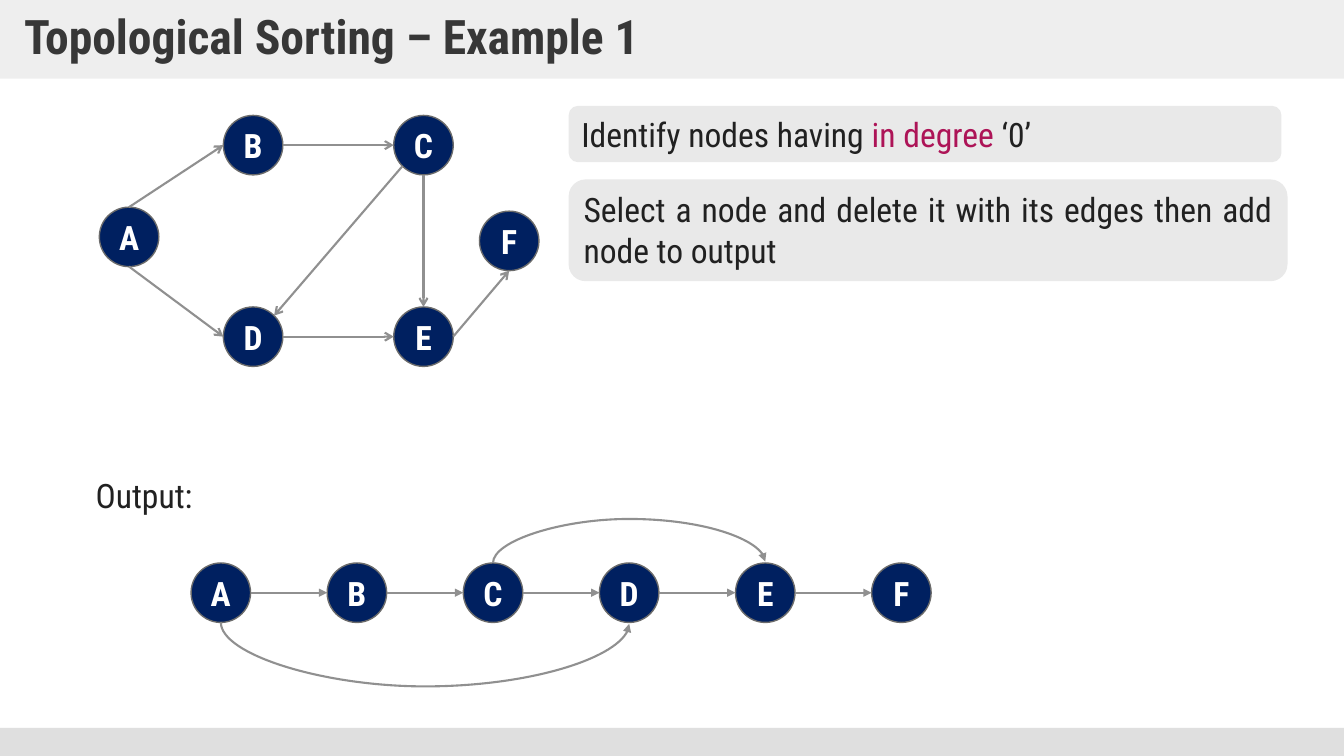
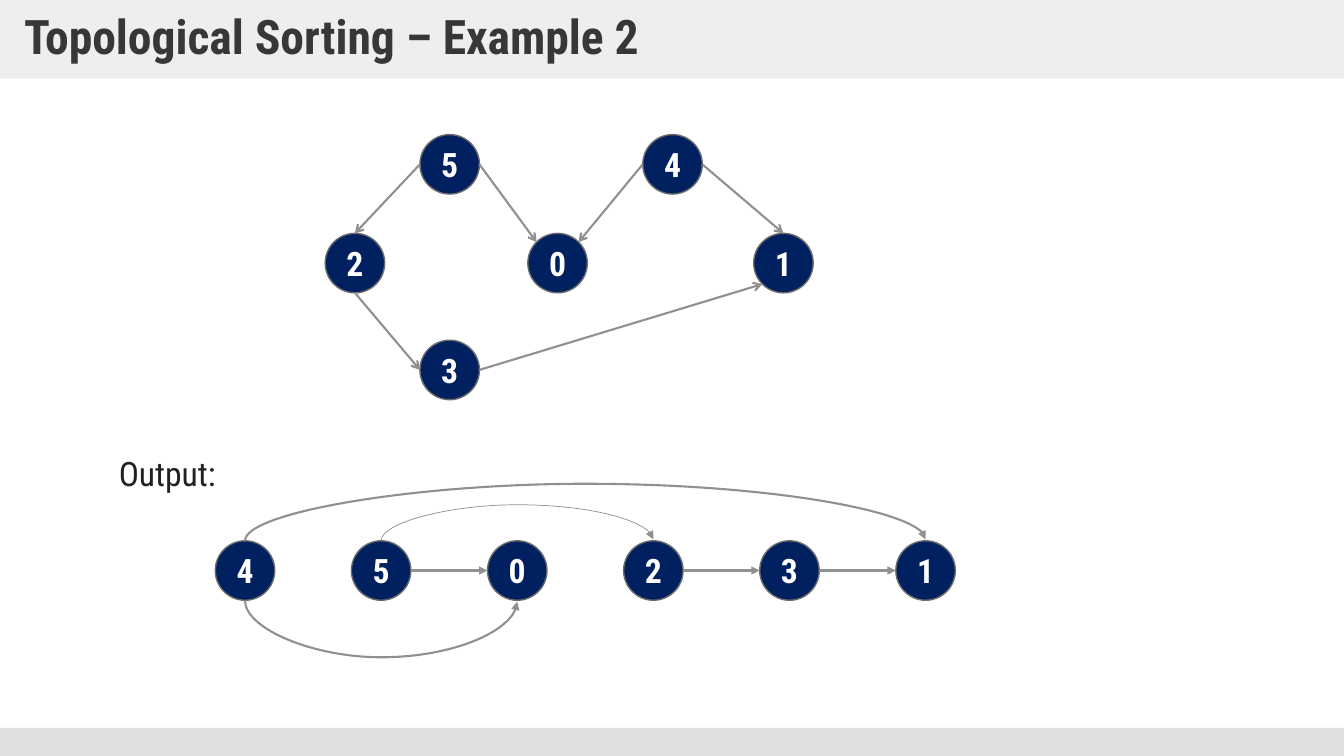
from lxml.etree import SubElement
from pptx import Presentation
from pptx.dml.color import RGBColor
from pptx.enum.shapes import MSO_CONNECTOR as LINE, MSO_SHAPE as SHAPE
from pptx.enum.text import MSO_ANCHOR as ANCHOR, MSO_AUTO_SIZE as FIT, PP_ALIGN as ALIGN
from pptx.oxml.ns import qn
from pptx.util import Inches, Pt

rgb = RGBColor.from_string

# One grid column or row is an inch
WIDTH, HEIGHT = 13.33, 7.5
TITLE_HEIGHT, FOOTER_HEIGHT = 0.78, 0.28
NODE_SIZE = 0.59
RADIUS = NODE_SIZE / 2
OUTPUT_PITCH = 1.35

BAND, PANEL, NAVY, NODE_EDGE, ARROW = "DFDFDF", "E9E9E9", "002060", "6B6B6B", "909090"
INK, ACCENT = "212121", "AD1457"

FONT = "Roboto Condensed"
TITLE_TEXT = {"name": FONT, "size": Pt(34), "bold": True}
BODY_TEXT = {"name": FONT, "size": Pt(24), "bold": False}
NODE_TEXT = {"name": FONT, "size": Pt(24), "bold": True}

DIAGONAL = 0.5 ** 0.5
SITES = {
    "n": (0, -1), "s": (0, 1), "w": (-1, 0), "e": (1, 0),
    "nw": (-DIAGONAL, -DIAGONAL), "ne": (DIAGONAL, -DIAGONAL),
    "sw": (-DIAGONAL, DIAGONAL), "se": (DIAGONAL, DIAGONAL),
}

# Edges name node and site at both ends; arcs give their depth, negative above the row
EXAMPLES = [
    {
        "title": "Topological Sorting – Example 1",
        "nodes": {"A": (1.28, 2.35), "B": (2.51, 1.44), "D": (2.51, 3.34),
                  "C": (4.2, 1.44), "E": (4.2, 3.34), "F": (5.05, 2.39)},
        "edges": ["A n B w", "A s D w", "B e C w", "D e E w",
                  "C s E n", "C sw D ne", "E e F s"],
        "output": "ABCDEF",
        "output_start": (2.19, 5.88),
        "label_at": (0.85, 4.66),
        "links": ["AB", "BC", "CD", "DE", "EF"],
        "arcs": [("AD", 0.64, 1.5), ("CE", -0.44, 1.5)],
        "steps": [
            ((5.64, 1.05, 7.07, 0.56),
             [("Identify nodes having ", INK), ("in degree ", ACCENT), ("‘0’", INK)]),
            ((5.64, 1.78, 7.13, 1.01),
             [("Select a node and delete it with its edges then add node to output", INK)]),
        ],
    },
    {
        "title": "Topological Sorting – Example 2",
        "nodes": {"2": (3.52, 2.61), "5": (4.46, 1.63), "3": (4.46, 3.67),
                  "0": (5.53, 2.61), "4": (6.67, 1.63), "1": (7.77, 2.61)},
        "edges": ["5 w 2 n", "5 e 0 nw", "2 s 3 w", "3 e 1 sw", "4 w 0 ne", "4 e 1 n"],
        "output": "450231",
        "output_start": (2.43, 5.66),
        "label_at": (1.08, 4.44),
        "links": ["50", "23", "31"],
        "arcs": [("41", -0.57, 1.5), ("40", 0.57, 1.5), ("52", -0.36, 0.5)],
        "steps": [],
    },
]


def add_box(page, kind, place, fill, spans=(), text_format=BODY_TEXT,
            align=ALIGN.LEFT, anchor=ANCHOR.TOP, fit=FIT.NONE):
    """Add a filled shape, or a text box if kind is None; spans are (text, colour)."""
    place = [Inches(length) for length in place]
    if kind is None:
        box = page.shapes.add_textbox(*place)
    else:
        box = page.shapes.add_shape(kind, *place)
        box.shadow.inherit = False
        box.fill.solid()
        box.fill.fore_color.rgb = rgb(fill)
        box.line.fill.background()
    frame = box.text_frame
    frame.word_wrap, frame.auto_size, frame.vertical_anchor = True, fit, anchor
    para = frame.paragraphs[0]
    para.alignment = align
    for text, colour in spans:
        span = para.add_run()
        span.text = text
        span.font.color.rgb = rgb(colour)
        for name, value in text_format.items():
            setattr(span.font, name, value)
    return box


def add_arrow(page, start, end, head, depth=0, weight=1.5):
    """Add a straight arrow, or one that arcs down by depth (up if negative)."""
    (x1, y1), (x2, y2) = start, end
    if depth:
        # A thin upright curve, turned a quarter, whose handle sets the depth
        thin, span = 1 / 72, x2 - x1
        left = (x1 + x2 - thin) / 2
        top = y1 + (thin if depth > 0 else -thin) / 2 - span / 2
        x1, y1, x2, y2 = left, top, left + thin, top + span
    arrow = page.shapes.add_connector(LINE.CURVE if depth else LINE.STRAIGHT,
                                      *[Inches(length) for length in (x1, y1, x2, y2)])
    arrow.line.color.rgb = rgb(ARROW)
    arrow.line.width = Pt(weight)
    properties = arrow._element.spPr
    SubElement(properties.find(qn("a:ln")), qn("a:tailEnd"), type=head)
    SubElement(properties, qn("a:effectLst"))
    if depth:
        turn = {"rot": "16200000", "flipH": "1"}
        if depth < 0:
            turn = {"rot": "5400000", "flipH": "1", "flipV": "1"}
        for name, value in turn.items():
            properties.find(qn("a:xfrm")).set(name, value)
        handles = properties.find(qn("a:prstGeom")).find(qn("a:avLst"))
        SubElement(handles, qn("a:gd"), name="adj1",
                   fmla=f"val {round(abs(depth) / thin * 100000)}")


deck = Presentation()
deck.slide_width, deck.slide_height = Inches(WIDTH), Inches(HEIGHT)
blank = deck.slide_layouts[6]

for example in EXAMPLES:
    page = deck.slides.add_slide(blank)

    # Bands
    add_box(page, SHAPE.RECTANGLE, (0, HEIGHT - FOOTER_HEIGHT, WIDTH, FOOTER_HEIGHT), BAND)
    title = add_box(page, SHAPE.RECTANGLE, (0, 0, WIDTH, TITLE_HEIGHT), BAND,
                    [(example["title"], "373737")], TITLE_TEXT, anchor=ANCHOR.MIDDLE)
    tint = title._element.spPr.find(qn("a:solidFill")).find(qn("a:srgbClr"))
    SubElement(tint, qn("a:alpha"), val="50000")
    frame = title.text_frame
    frame.margin_left = frame.margin_right = Inches(0.24)
    frame.margin_top = frame.margin_bottom = Inches(0.12)
    frame.paragraphs[0].line_spacing = 0.9

    # Nodes of the graph and of the sorted row
    graph = example["nodes"]
    row_x, row_y = example["output_start"]
    row = {name: (row_x + index * OUTPUT_PITCH, row_y)
           for index, name in enumerate(example["output"])}
    for name, (x, y) in [*graph.items(), *row.items()]:
        node = add_box(page, SHAPE.OVAL, (x - RADIUS, y - RADIUS, NODE_SIZE, NODE_SIZE), NAVY,
                       [(name, "FFFFFF")], NODE_TEXT, ALIGN.CENTER, ANCHOR.MIDDLE)
        node.line.color.rgb = rgb(NODE_EDGE)
        node.line.width = Pt(1)

    # Arrows, each from a site on one node to a site on another
    arrows = [(graph, edge.split(), "arrow", 0, 1.5) for edge in example["edges"]]
    arrows += [(row, (first, "e", last, "w"), "triangle", 0, 1.5)
               for first, last in example["links"]]
    for (first, last), depth, weight in example["arcs"]:
        side = "s" if depth > 0 else "n"
        arrows.append((row, (first, side, last, side), "triangle", depth, weight))
    for nodes, (first, leave, last, enter), head, depth, weight in arrows:
        start, end = [
            [centre + RADIUS * shift for centre, shift in zip(nodes[name], SITES[site])]
            for name, site in ((first, leave), (last, enter))
        ]
        add_arrow(page, start, end, head, depth, weight)

    # Text
    for place, spans in example["steps"]:
        add_box(page, SHAPE.ROUNDED_RECTANGLE, place, PANEL, spans,
                align=ALIGN.JUSTIFY, fit=FIT.SHAPE_TO_FIT_TEXT)
    add_box(page, None, (*example["label_at"], 1.35, 0.5), None, [("Output:", INK)],
            fit=FIT.SHAPE_TO_FIT_TEXT)

deck.save("out.pptx")
